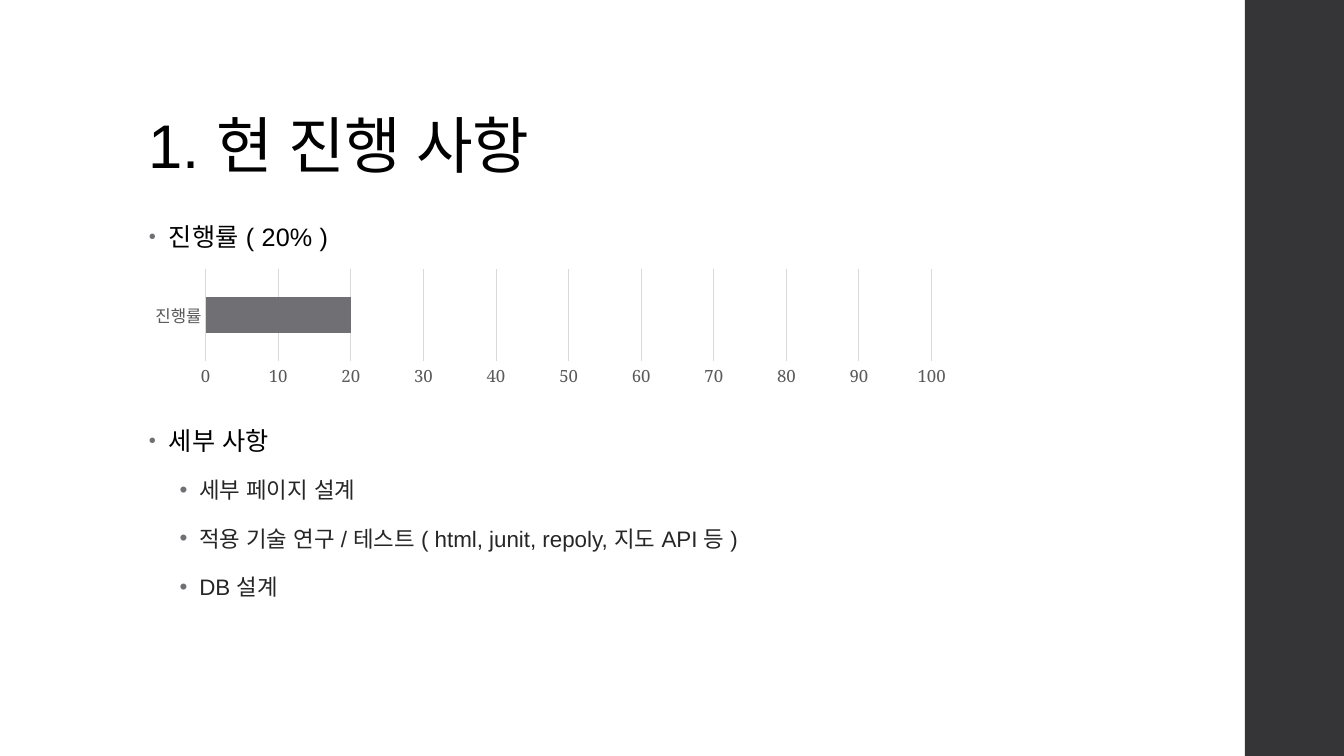
"""Builds the progress slide: title, bulleted status list and a progress bar chart."""
from lxml import etree
from pptx import Presentation
from pptx.chart.data import CategoryChartData
from pptx.dml.color import RGBColor
from pptx.enum.chart import XL_CHART_TYPE, XL_TICK_MARK
from pptx.enum.shapes import MSO_SHAPE
from pptx.enum.text import MSO_ANCHOR, MSO_AUTO_SIZE, PP_ALIGN
from pptx.oxml.ns import qn
from pptx.util import Cm, Pt

BAR_STACKED = XL_CHART_TYPE.BAR_STACKED
NO_TICK = XL_TICK_MARK.NONE
RECTANGLE = MSO_SHAPE.RECTANGLE
TOP, BOTTOM = MSO_ANCHOR.TOP, MSO_ANCHOR.BOTTOM
NO_AUTOFIT = MSO_AUTO_SIZE.NONE
LEFT = PP_ALIGN.LEFT

BLACK = RGBColor(0x00, 0x00, 0x00)
CHARCOAL = RGBColor(0x35, 0x35, 0x37)
TEXT_GREY = RGBColor(0x26, 0x26, 0x26)
ACCENT = RGBColor(0x6F, 0x6F, 0x74)
AXIS_GREY = RGBColor(0x59, 0x59, 0x59)
GRID_GREY = RGBColor(0xD9, 0xD9, 0xD9)


def write(p, text, size, color, tracking, **spacing):
    """Fills a paragraph with one formatted run."""
    formats = {"alignment": LEFT, **spacing}
    for name, value in formats.items():
        setattr(p, name, value)
    r = p.add_run()
    r.text = text
    r.font.name, r.font.size = "Arial", Pt(size)
    r.font.color.rgb = color
    rPr = r._r.get_or_add_rPr()
    rPr.set("spc", str(tracking))
    etree.SubElement(rPr, qn("a:ea")).set("typeface", "Arial")


def add_bullet(p, margin, percent):
    """Gives a paragraph a hanging bullet."""
    pPr = p._p.get_or_add_pPr()
    pPr.set("marL", str(Cm(margin)))
    pPr.set("indent", str(-Cm(0.5)))
    clr = etree.SubElement(pPr, qn("a:buClr"))
    etree.SubElement(clr, qn("a:srgbClr")).set("val", str(ACCENT))
    etree.SubElement(pPr, qn("a:buSzPct")).set("val", str(percent * 1000))
    etree.SubElement(pPr, qn("a:buFont")).set("typeface", "Arial")
    etree.SubElement(pPr, qn("a:buChar")).set("char", "•")


prs = Presentation()
prs.slide_width, prs.slide_height = Cm(33.87), Cm(19.05)
s = prs.slides.add_slide(prs.slide_layouts[1])

side_bar = s.shapes.add_shape(RECTANGLE, Cm(31.37), 0, Cm(2.5), prs.slide_height)
side_bar.shadow.inherit = False
side_bar.fill.solid()
side_bar.fill.fore_color.rgb = CHARCOAL
side_bar.line.fill.background()

title, body = s.shapes.title, s.placeholders[1]
for sp, top, width, height, anchor in [
    (title, 1.02, 26.92, 3.68, BOTTOM),
    (body, 5.08, 23.88, 12.09, TOP),
]:
    sp.left, sp.top, sp.width, sp.height = Cm(3.5), Cm(top), Cm(width), Cm(height)
    tf = sp.text_frame
    tf.word_wrap, tf.auto_size, tf.vertical_anchor = True, NO_AUTOFIT, anchor

write(title.text_frame.paragraphs[0], "1. 현 진행 사항", 44, BLACK, -50, line_spacing=0.9)

HEADING = {"size": 18, "color": BLACK, "tracking": 10, "space_after": Pt(2)}
DETAIL = {"size": 16, "color": TEXT_GREY, "tracking": 0,
          "space_before": Pt(3), "space_after": Pt(3), "level": 1}
items = [
    ("진행률 ( 20% )", {**HEADING, "space_before": Pt(14)}, 0.5, 80),
    ("세부 사항", {**HEADING, "space_before": Pt(111)}, 0.5, 80),
    ("세부 페이지 설계", DETAIL, 1.27, 100),
    ("적용 기술 연구 / 테스트 ( html, junit, repoly, 지도 API 등 )", DETAIL, 1.27, 100),
    ("DB 설계", DETAIL, 1.27, 100),
]
tf = body.text_frame
for i, (text, formats, margin, percent) in enumerate(items):
    p = tf.add_paragraph() if i else tf.paragraphs[0]
    write(p, text, line_spacing=1.5, **formats)
    add_bullet(p, margin, percent)

data = CategoryChartData()
data.categories = ["진행률"]
data.add_series("Series 1", [20])
chart = s.shapes.add_chart(
    BAR_STACKED, Cm(3.5), Cm(6.72), Cm(20.75), Cm(3.12), data).chart
chart.has_legend = chart.has_title = False
chart.font.name, chart.font.size = "Noto Serif", Pt(10)
chart.font.color.rgb = BLACK

plot = chart.plots[0]
plot.gap_width, plot.overlap, plot.vary_by_categories = 150, 100, False
fill = plot.series[0].format.fill
fill.solid()
fill.fore_color.rgb = ACCENT

cat_axis, val_axis = chart.category_axis, chart.value_axis
for axis in (cat_axis, val_axis):
    axis.major_tick_mark = axis.minor_tick_mark = NO_TICK
    font = axis.tick_labels.font
    font.name, font.size = "Noto Serif", Pt(12)
    font.color.rgb = AXIS_GREY
val_axis.minimum_scale, val_axis.maximum_scale, val_axis.major_unit = 0, 100, 10
val_axis.has_major_gridlines = True
val_axis.format.line.fill.background()
for line in (cat_axis.format.line, val_axis.major_gridlines.format.line):
    line.color.rgb = GRID_GREY
    line.width = Pt(0.75)

prs.save("out.pptx")
